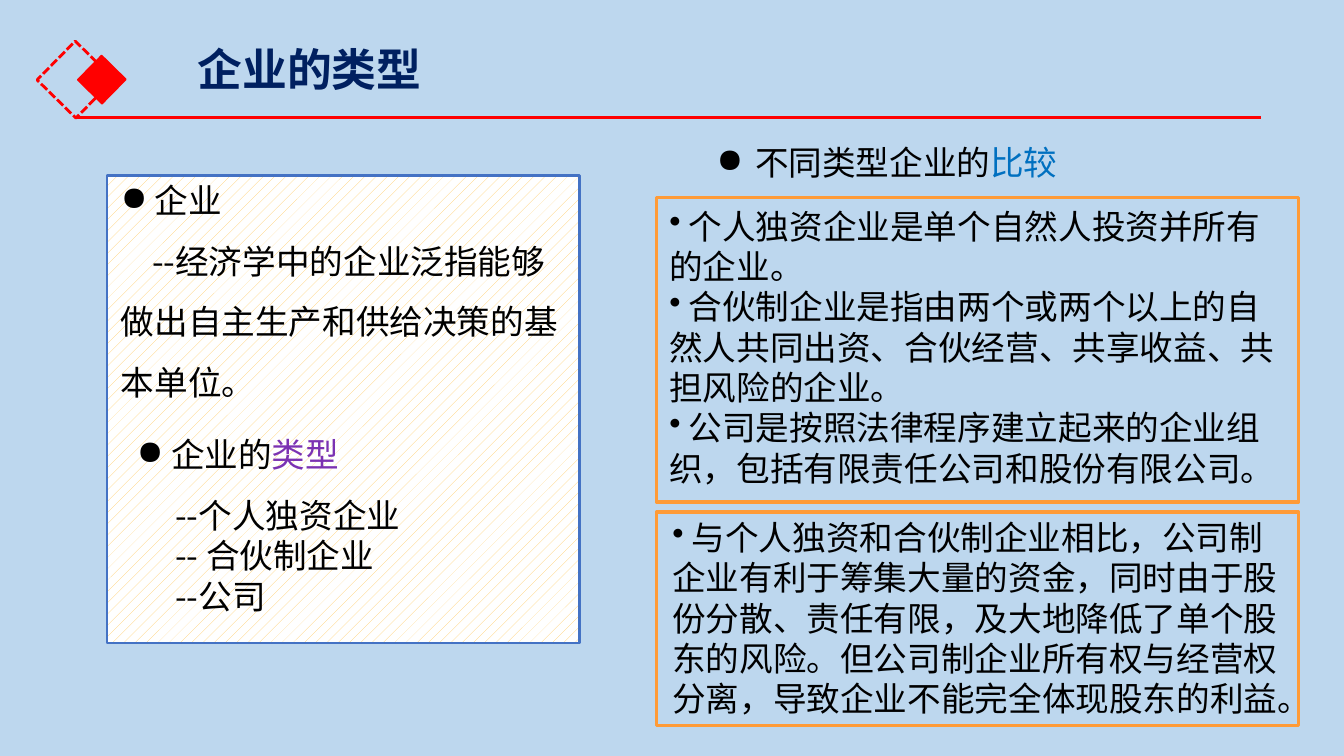
from pptx import Presentation
from pptx.dml.color import RGBColor
from pptx.enum.dml import MSO_LINE, MSO_PATTERN
from pptx.enum.shapes import MSO_CONNECTOR, MSO_SHAPE
from pptx.enum.text import MSO_AUTO_SIZE
from pptx.oxml.ns import qn
from pptx.util import Inches, Pt
from lxml import etree

RECTANGLE = MSO_SHAPE.RECTANGLE
STRAIGHT = MSO_CONNECTOR.STRAIGHT
DASHED = MSO_LINE.SQUARE_DOT
DOTTED_FILL = MSO_PATTERN.PERCENT_10
FIT_SHAPE = MSO_AUTO_SIZE.SHAPE_TO_FIT_TEXT

SKY = RGBColor(0xBD, 0xD7, 0xEE)
NAVY = RGBColor(0x00, 0x20, 0x60)
BLACK = RGBColor(0x00, 0x00, 0x00)
WHITE = RGBColor(0xFF, 0xFF, 0xFF)
RED = RGBColor(0xFF, 0x00, 0x00)
BLUE = RGBColor(0x00, 0x70, 0xC0)
PURPLE = RGBColor(0x7B, 0x32, 0xB2)
FRAME_BLUE = RGBColor(0x44, 0x72, 0xC4)
ORANGE = RGBColor(0xFF, 0x9B, 0x37)
YELLOW = RGBColor(0xFF, 0xCC, 0x66)


class SlideBuilder:
    """Draws styled elements on one slide."""

    font_name = "Noto Sans CJK SC"

    def __init__(self, slide):
        self.slide = slide
        slide.background.fill.solid()
        slide.background.fill.fore_color.rgb = SKY

    def box(self, place, color, width, fill=None, rotation=0, dash=None):
        shape = self.slide.shapes.add_shape(RECTANGLE, *map(Inches, place))
        shape.shadow.inherit = False
        shape.rotation = rotation
        if fill is None:
            shape.fill.background()
        else:
            shape.fill.solid()
            shape.fill.fore_color.rgb = fill
        shape.line.color.rgb = color
        for name, value in {"width": Pt(width), "dash_style": dash}.items():
            setattr(shape.line, name, value)
        return shape

    def pattern_box(self, place, color, width):
        fill = self.box(place, color, width).fill
        fill.patterned()
        fill.pattern = DOTTED_FILL
        fill.fore_color.rgb = YELLOW
        fill.back_color.rgb = WHITE

    def rule(self, start, end, color, width):
        line = self.slide.shapes.add_connector(STRAIGHT, *map(Inches, start + end))
        line.line.color.rgb = color
        line.line.width = Pt(width)
        etree.SubElement(line.element.spPr, qn("a:effectLst"))

    def text(self, place, paragraphs, wrap=True, size=24, color=BLACK, bold=False, top=0.05):
        frame = self.slide.shapes.add_textbox(*map(Inches, place)).text_frame
        layout = {"word_wrap": wrap, "auto_size": FIT_SHAPE, "margin_top": Inches(top)}
        for name, value in layout.items():
            setattr(frame, name, value)
        for index, (runs, style) in enumerate(paragraphs):
            paragraph = frame.add_paragraph() if index else frame.paragraphs[0]
            self.paragraph_format(paragraph, **style)
            for words, run_color in runs:
                run = paragraph.add_run()
                run.text = words
                look = {"name": self.font_name, "size": Pt(size), "bold": bold}
                for name, value in look.items():
                    setattr(run.font, name, value)
                run.font.color.rgb = run_color or color
                east_asian = etree.SubElement(run.font._element, qn("a:ea"))
                east_asian.set("typeface", self.font_name)

    def paragraph_format(self, paragraph, bullet=None, spacing=None, margin=0, indent=0):
        properties = paragraph._p.get_or_add_pPr()
        properties.set("marL", str(Inches(margin)))
        properties.set("indent", str(Inches(indent)))
        if bullet:
            etree.SubElement(properties, qn("a:buChar")).set("char", bullet)
        if spacing:
            paragraph.line_spacing = spacing


def plain(words, **style):
    """Pair one run in the default colour with its paragraph style."""
    return [(words, None)], style


def main():
    """Build and save the slide."""
    deck = Presentation()
    deck.slide_width, deck.slide_height = Inches(13.33), Inches(7.5)
    page = SlideBuilder(deck.slides.add_slide(deck.slide_layouts[6]))

    page.pattern_box((1.06, 1.74, 4.69, 4.64), FRAME_BLUE, 1.75)
    page.box((0.48, 0.52, 0.54, 0.54), RED, 2, rotation=314.5, dash=DASHED)
    page.box((0.84, 0.62, 0.34, 0.34), RED, 1, fill=RED, rotation=314.5)
    page.rule((0.75, 1.17), (12.51, 1.17), RED, 2.25)
    page.text((1.86, 0.45, 11.47, 0.95), [plain("企业的类型", spacing=0.9)],
              size=32, color=NAVY, bold=True, top=0.02)

    page.text((6.57, 5.08, 6.2, 2.12), [plain(
        " 与个人独资和合伙制企业相比，公司制企业有利于筹集大量的资金，"
        "同时由于股份分散、责任有限，及大地降低了单个股东的风险。"
        "但公司制企业所有权与经营权分离，导致企业不能完全体现股东的利益。", bullet="•")])
    definitions = (
        " 个人独资企业是单个自然人投资并所有的企业。",
        " 合伙制企业是指由两个或两个以上的自然人共同出资、合伙经营、共享收益、共担风险的企业。",
        " 公司是按照法律程序建立起来的企业组织，包括有限责任公司和股份有限公司。",
    )
    page.text((6.54, 1.99, 6.23, 2.93), [plain(words, bullet="•") for words in definitions])
    page.text((6.01, 1.36, 4.58, 0.5), [
        ([("不同类型企业的", None), ("比较", BLUE)],
         {"bullet": "●", "margin": 1.38, "indent": -0.38})], wrap=False)

    page.text((1.1, 1.54, 4.7, 2.93), [
        plain(" 企业", bullet="●", spacing=1.5),
        plain("--经济学中的企业泛指能够做出自主生产和供给决策的基本单位。",
              spacing=1.5, indent=0.31)])
    page.text((1.26, 4.06, 3.58, 2.73), [
        ([(" 企业的", None), ("类型", PURPLE)], {"bullet": "●", "spacing": 1.5}),
        plain("--个人独资企业", spacing=1.5, indent=0.38),
        plain("-- 合伙制企业", indent=0.38),
        plain("--公司", indent=0.38)])

    for top, height in ((5.08, 2.12), (1.96, 3.02)):
        page.box((6.51, top, 6.37, height), ORANGE, 2.25)

    deck.save("out.pptx")


if __name__ == "__main__":
    main()
